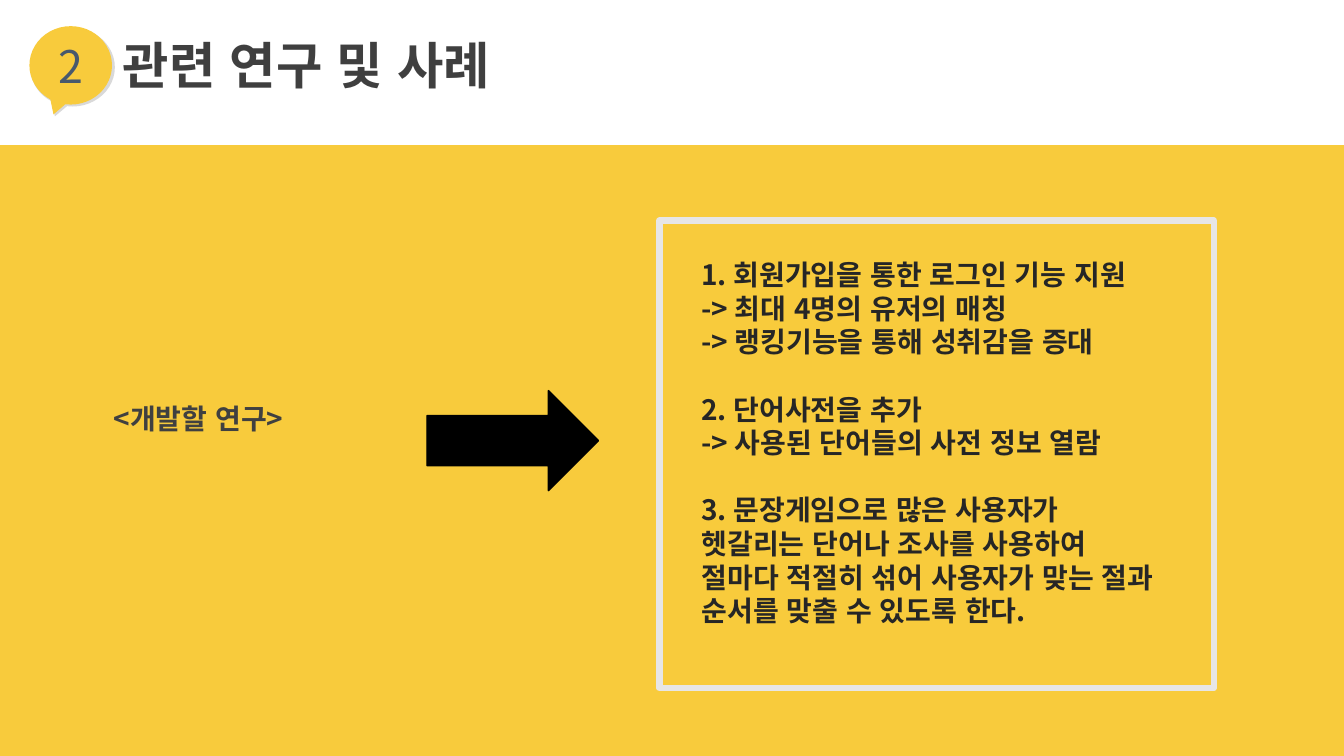
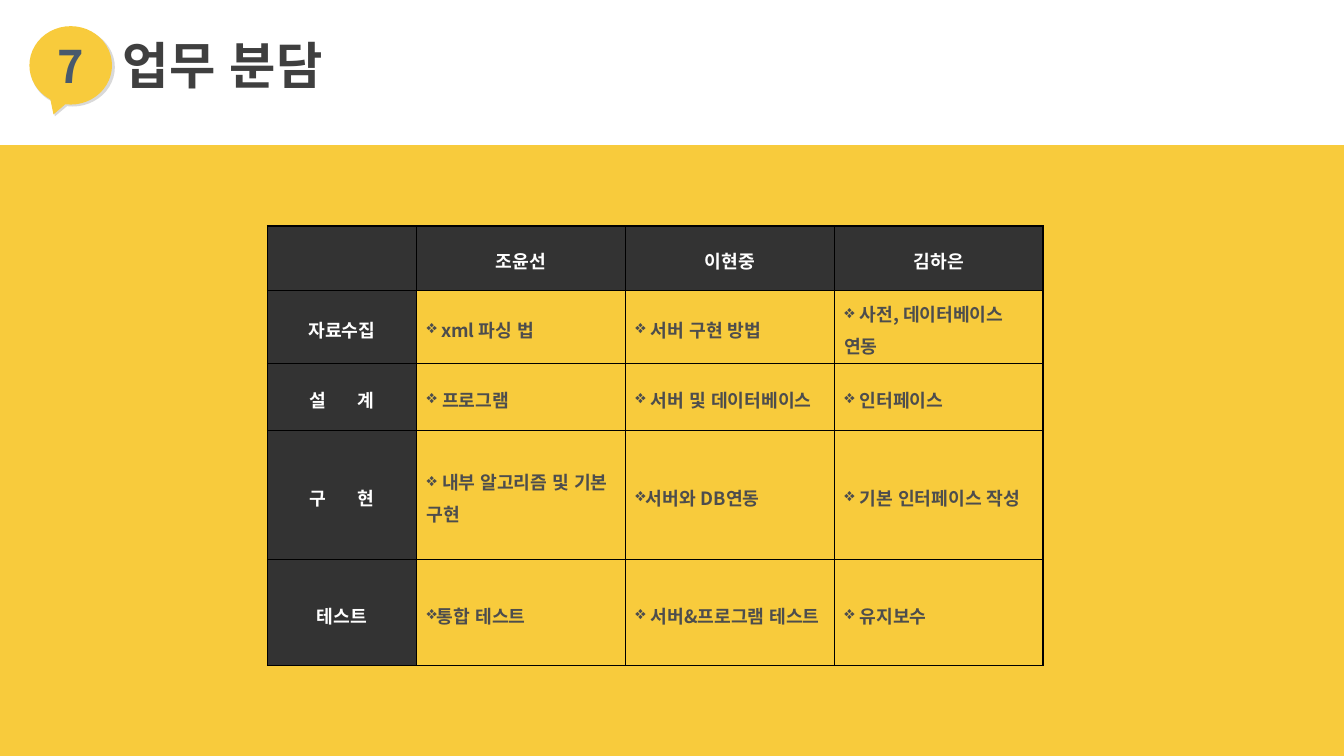
from lxml.etree import SubElement
from pptx import Presentation
from pptx.dml.color import RGBColor
from pptx.enum.lang import MSO_LANGUAGE_ID as Lang
from pptx.enum.shapes import MSO_SHAPE as Shape
from pptx.enum.text import MSO_ANCHOR as Anchor, MSO_AUTO_SIZE as AutoSize, PP_ALIGN as Align
from pptx.oxml.ns import qn
from pptx.util import Pt

FONT = "Noto Sans CJK KR"
YELLOW, WHITE, BLACK = "F8CB3C", "FFFFFF", "000000"
SHADE, SLATE, TITLE_GREY = "D9D9D9", "48596D", "3F3F3F"
LABEL_GREY, BODY_GREY, FRAME_GREY = "404040", "262626", "E7E6E6"
HEAD_FILL, CELL_GREY = "333333", "4D4D4D"
PAGE_W, PAGE_H, BAND_TOP = 960, 540, 103.7


def color(hex_text):
    return RGBColor.from_string(hex_text)


def points(*lengths):
    return [Pt(length) for length in lengths]


def style_para(para, size, hex_text, bold=True, align=Align.LEFT):
    para.alignment = align
    font = para.font
    font.size, font.bold = Pt(size), bold
    font.color.rgb = color(hex_text)
    font.language_id = Lang.KOREAN
    font.name = FONT
    defaults = para._p.pPr.find(qn("a:defRPr"))
    SubElement(defaults, qn("a:ea"), typeface=FONT)


def set_frame(frame, side=7.2, anchor=Anchor.MIDDLE):
    frame.word_wrap = True
    frame.auto_size = AutoSize.NONE
    frame.vertical_anchor = anchor
    frame.margin_left = frame.margin_right = Pt(side)
    frame.margin_top = frame.margin_bottom = 0


def add_figure(shapes, kind, box, fill=None, line=None, line_width=1):
    figure = shapes.add_shape(kind, *points(*box))
    figure.shadow.inherit = False
    if fill:
        figure.fill.solid()
        figure.fill.fore_color.rgb = color(fill)
    else:
        figure.fill.background()
    if line:
        figure.line.color.rgb = color(line)
        figure.line.width = Pt(line_width)
    else:
        figure.line.fill.background()
    return figure


# Shared parts: yellow band, number badge, title
def add_band(layout, page):
    """Draw the band on a page, then move it to the layout all pages use."""
    band = add_figure(page.shapes, Shape.RECTANGLE,
                      (0, BAND_TOP, PAGE_W, PAGE_H - BAND_TOP), YELLOW)
    layout.shapes.element.insert(2, band.element)


def add_badge(page, left, top, number, bold):
    group = page.shapes.add_group_shape()
    kind = Shape.OVAL_CALLOUT
    add_figure(group.shapes, kind, (left + 0.6, top + 1.4, 60.5, 56), SHADE)
    bubble = add_figure(group.shapes, kind, (left, top, 59, 56), YELLOW)
    set_frame(bubble.text_frame, side=0)
    para = bubble.text_frame.paragraphs[0]
    para.text = number
    style_para(para, 32, SLATE, bold, Align.CENTER)


def add_titled_page(deck, layout, number, title, bold_number):
    page = deck.slides.add_slide(layout)
    heading = page.shapes.title
    heading.left, heading.top, heading.width, heading.height = points(80.6, 20.5, 600, 51)
    heading.text_frame.text = title
    set_frame(heading.text_frame)
    style_para(heading.text_frame.paragraphs[0], 36, TITLE_GREY)
    add_badge(page, 21, 18.7, number, bold_number)
    return page


# Research page
def add_label(page, box, text):
    frame = page.shapes.add_textbox(*points(*box)).text_frame
    set_frame(frame)
    frame.text = text
    style_para(frame.paragraphs[0], 20, LABEL_GREY)


def add_goals(page, box, goals):
    left, top, width, height = box
    inner = (left + 23, top + 26.5, width - 50, height - 60)
    frame = page.shapes.add_textbox(*points(*inner)).text_frame
    set_frame(frame, anchor=Anchor.TOP)
    lines = [(goal_no, line_no, line) for goal_no, goal in enumerate(goals)
             for line_no, line in enumerate(goal)]
    for goal_no, line_no, line in lines:
        first = goal_no == line_no == 0
        para = frame.paragraphs[0] if first else frame.add_paragraph()
        para.text = line
        para.line_spacing = Pt(24)
        para.space_before = Pt(24 if goal_no and line_no == 0 else 0)
        style_para(para, 20, BODY_GREY)
    add_figure(page.shapes, Shape.RECTANGLE, box, line=FRAME_GREY, line_width=4.5)


def build_research(deck, layout):
    page = add_titled_page(deck, layout, "2", "관련 연구 및 사례", False)
    add_label(page, (74, 283, 160, 31.5), "<개발할 연구>")
    add_figure(page.shapes, Shape.RIGHT_ARROW, (305, 279, 122.5, 71.5), BLACK, BLACK)
    add_goals(page, (471, 157.5, 396, 334), [
        ["1. 회원가입을 통한 로그인 기능 지원",
         "-> 최대 4명의 유저의 매칭",
         "-> 랭킹기능을 통해 성취감을 증대"],
        ["2. 단어사전을 추가",
         "-> 사용된 단어들의 사전 정보 열람"],
        ["3. 문장게임으로 많은 사용자가 헷갈리는 단어나 조사를 사용하여 "
         "절마다 적절히 섞어 사용자가 맞는 절과 순서를 맞출 수 있도록 한다."],
    ])
    return page


# Task table page
def set_borders(cell):
    props = cell._tc.get_or_add_tcPr()
    for order, side in enumerate(("a:lnL", "a:lnR", "a:lnT", "a:lnB")):
        line = SubElement(props, qn(side), w=str(Pt(1)))
        fill = SubElement(line, qn("a:solidFill"))
        SubElement(fill, qn("a:srgbClr"), val=BLACK)
        props.insert(order, line)


def add_bullet(para):
    props = para._p.pPr
    props.set("marL", "0")
    props.set("indent", "0")
    bullet = SubElement(props, qn("a:buChar"), char="❖")
    props.find(qn("a:defRPr")).addprevious(bullet)


def write_cell(cell, text, is_head):
    cell.vertical_anchor = Anchor.MIDDLE
    if is_head:
        cell.fill.solid()
        cell.fill.fore_color.rgb = color(HEAD_FILL)
    else:
        cell.fill.background()
    set_borders(cell)
    if not text:
        return
    para = cell.text_frame.paragraphs[0]
    para.line_spacing, para.space_before = 1.2, Pt(3)
    if is_head and " " in text:
        # Two syllables set wide apart by letter spacing
        start, end = text.split(" ")
        span = para.add_run()
        span.text = start + " "
        span._r.get_or_add_rPr().set("spc", "950")
        para.add_run().text = end
    else:
        para.text = text
    style_para(para, 13, WHITE if is_head else CELL_GREY,
               align=Align.CENTER if is_head else Align.LEFT)
    if not is_head:
        add_bullet(para)


def add_task_table(page, left, top, widths, heights, rows):
    box = points(left, top, sum(widths), sum(heights))
    table = page.shapes.add_table(len(rows), len(widths), *box).table
    table.horz_banding = False
    for column, width in zip(table.columns, widths):
        column.width = Pt(width)
    for row_no, (row, height) in enumerate(zip(rows, heights)):
        table.rows[row_no].height = Pt(height)
        for col_no, text in enumerate(row):
            write_cell(table.cell(row_no, col_no), text, row_no == 0 or col_no == 0)


def build_tasks(deck, layout):
    page = add_titled_page(deck, layout, "7", "업무 분담", True)
    add_task_table(page, 191, 161.5, [106.5] + [149.2] * 3, [46, 52, 48, 92, 76], [
        ["", "조윤선", "이현중", "김하은"],
        ["자료수집", " xml 파싱 법", " 서버 구현 방법", " 사전, 데이터베이스 연동"],
        ["설 계", " 프로그램", " 서버 및 데이터베이스", " 인터페이스"],
        ["구 현", " 내부 알고리즘 및 기본 구현", "서버와 DB연동", " 기본 인터페이스 작성"],
        ["테스트", "통합 테스트", " 서버&프로그램 테스트", " 유지보수"],
    ])


def main():
    deck = Presentation()
    deck.slide_width, deck.slide_height = points(PAGE_W, PAGE_H)
    layout = deck.slide_layouts.get_by_name("Title Only")
    add_band(layout, build_research(deck, layout))
    build_tasks(deck, layout)
    deck.save("out.pptx")


if __name__ == "__main__":
    main()
